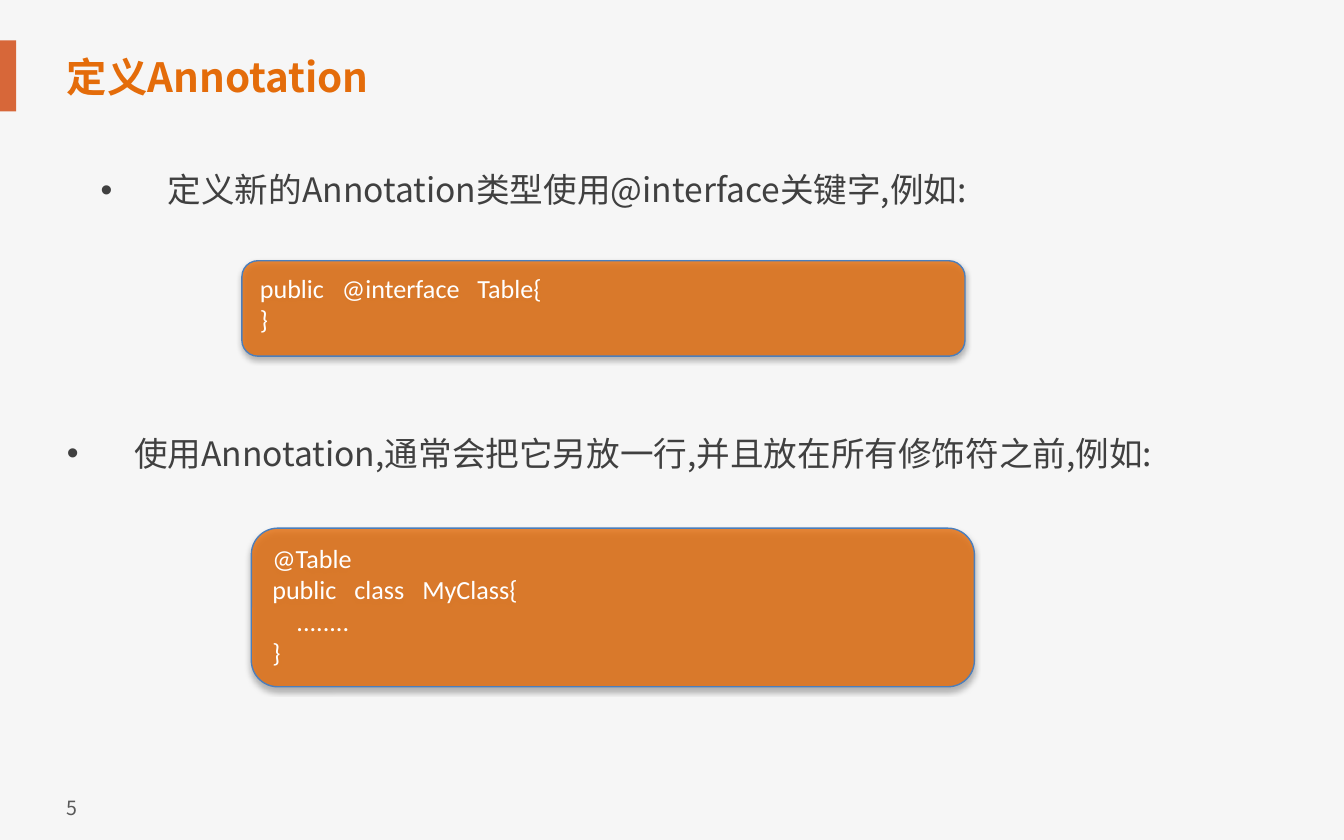
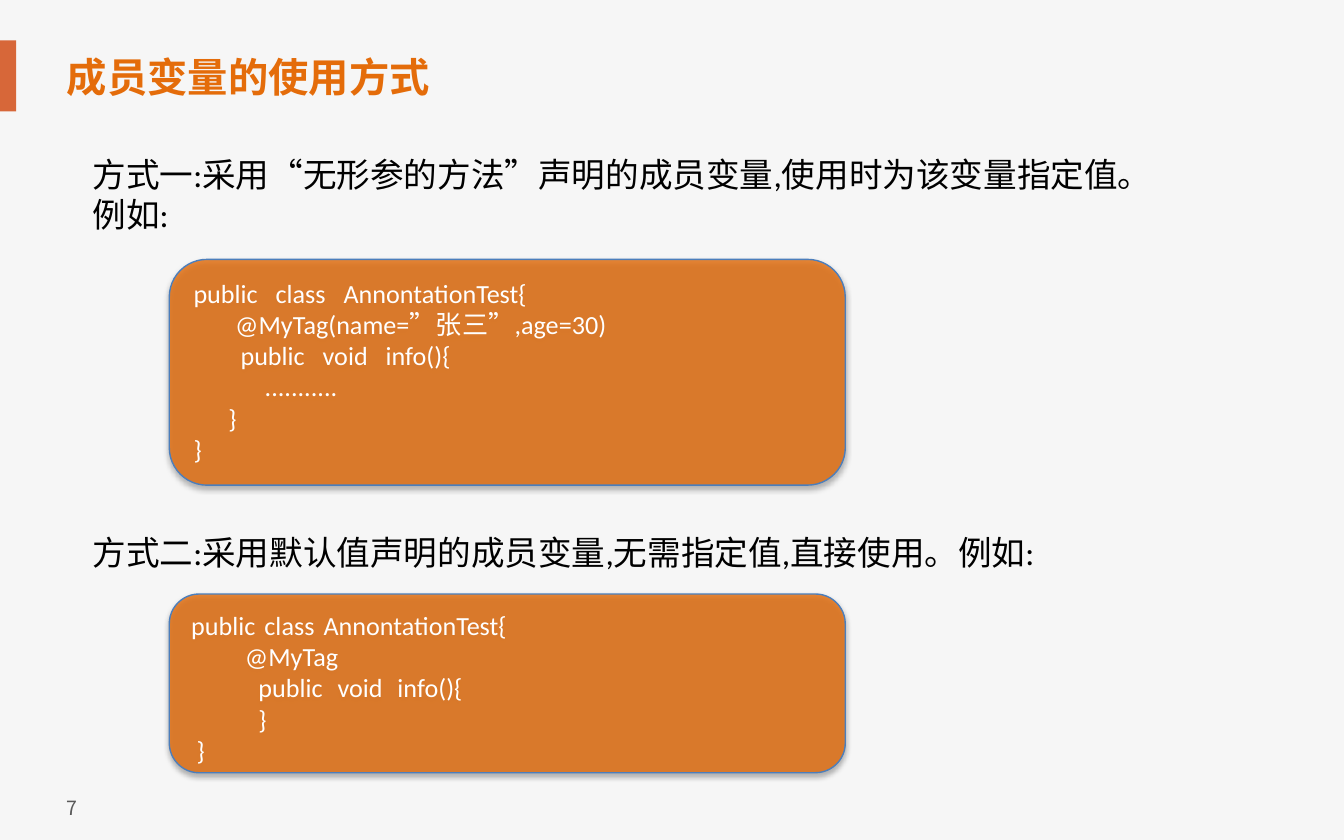
import dataclasses
import lxml.etree
import pptx
import pptx.dml.color
import pptx.enum.shapes
import pptx.enum.text
import pptx.oxml
import pptx.oxml.ns
import pptx.util

Inches = pptx.util.Inches
Pt = pptx.util.Pt
RGBColor = pptx.dml.color.RGBColor
qn = pptx.oxml.ns.qn


@dataclasses.dataclass(frozen=True)
class Theme:
    background: str = "F6F6F6"
    band: str = "D76739"
    accent: str = "E46C0A"
    border: str = "4B7EBC"
    body: str = "404040"
    caption: str = "000000"
    code: str = "FFFFFF"
    number: str = "595959"
    cjk_font: str = "Noto Sans CJK SC"
    latin_font: str = "Calibri"
    title_size: float = 21.6
    body_size: float = 18
    code_size: float = 14
    number_size: float = 10.5
    code_leading: float = 16.75
    caption_leading: float = 21.5
    code_space: float = 3.16


theme = Theme()


def format_run(run, size, color, font, bold=False):
    run.font.size = Pt(size)
    run.font.color.rgb = RGBColor.from_string(color)
    run.font.name = font
    run.font.bold = bold
    east_asian = lxml.etree.SubElement(run.font._element, qn("a:ea"))
    east_asian.set("typeface", theme.cjk_font)


def add_text(slide, box, text, size, color, font, bold=False):
    shape = slide.shapes.add_textbox(*map(Inches, box))
    text_frame = shape.text_frame
    text_frame.word_wrap = True
    text_frame.text = text
    format_run(text_frame.paragraphs[0].runs[0], size, color, font, bold)
    return text_frame


slides = [
    {
        "title": "定义Annotation",
        "number": "5",
        "bullets": [
            ((0.65, 1.21, 9.22, 0.99), "定义新的Annotation类型使用@interface关键字,例如:".replace(",", ",").replace(":", ":")),
            ((0.4, 3.17, 9.22, 0.99), "使用Annotation,通常会把它另放一行,并且放在所有修饰符之前,例如:"),
        ],
        "captions": [],
        "code": [
            ((1.8, 1.94, 5.38, 0.71), [
                (0, 3, "public @interface Table{"),
                (0, 1, "}"),
            ]),
            ((1.87, 3.93, 5.38, 1.18), [
                (0, 1, "@Table"),
                (0, 3, "public class MyClass{"),
                (0.18, 1, "........"),
                (0, 1, "}"),
            ]),
        ],
    },
    {
        "title": "成员变量的使用方式",
        "number": "7",
        "bullets": [],
        "captions": [
            ((0.59, 1.1, 8.05, 0.71), "方式一:采用“无形参的方法”声明的成员变量,使用时为该变量指定值。例如:"),
            ((0.59, 3.91, 8.19, 0.4), "方式二:采用默认值声明的成员变量,无需指定值,直接使用。例如:"),
        ],
        "code": [
            ((1.26, 1.93, 5.03, 1.68), [
                (0, 3, "public class AnnontationTest{"),
                (0.31, 1, "@MyTag(name=”张三”,age=30)"),
                (0.35, 3, "public void info(){"),
                (0.53, 1, "..........."),
                (0.26, 1, "}"),
                (0, 1, "}"),
            ]),
            ((1.26, 4.42, 5.03, 1.33), [
                (0, 1.5, "public class AnnontationTest{"),
                (0.4, 1, "@MyTag"),
                (0.5, 2.5, "public void info(){"),
                (0.5, 1, "}"),
                (0.04, 1, "}"),
            ]),
        ],
    },
]

presentation = pptx.Presentation()
presentation.slide_width = Inches(10)
presentation.slide_height = Inches(6.25)

for content in slides:
    slide = presentation.slides.add_slide(presentation.slide_layouts[6])
    slide.background.fill.solid()
    slide.background.fill.fore_color.rgb = RGBColor.from_string(theme.background)

    band = slide.shapes.add_shape(
        pptx.enum.shapes.MSO_SHAPE.RECTANGLE, Inches(0), Inches(0.3), Inches(0.12), Inches(0.53)
    )
    band.shadow.inherit = False
    band.fill.solid()
    band.fill.fore_color.rgb = RGBColor.from_string(theme.band)
    band.line.fill.background()

    number = add_text(slide, (0.4, 5.87, 0.4, 0.28), content["number"],
                      theme.number_size, theme.number, theme.cjk_font)
    number.word_wrap = False
    title = add_text(slide, (0.4, 0.33, 7.02, 0.48), content["title"],
                     theme.title_size, theme.accent, theme.cjk_font, True)
    title.vertical_anchor = pptx.enum.text.MSO_ANCHOR.MIDDLE

    for box, text in content["bullets"]:
        paragraph = add_text(slide, box, text, theme.body_size, theme.body, theme.cjk_font).paragraphs[0]
        paragraph.space_before = Pt(6)
        paragraph.space_after = Pt(6)
        properties = paragraph._p.get_or_add_pPr()
        properties.set("marL", str(Inches(0.5)))
        properties.set("indent", str(Inches(-0.5)))
        bullet_font = lxml.etree.SubElement(properties, qn("a:buFont"))
        bullet_font.set("typeface", "Arial")
        bullet = lxml.etree.SubElement(properties, qn("a:buChar"))
        bullet.set("char", "•")

    for box, text in content["captions"]:
        caption = add_text(slide, box, text, theme.body_size, theme.caption, theme.latin_font)
        caption.paragraphs[0].line_spacing = Pt(theme.caption_leading)

    for box, lines in content["code"]:
        panel = slide.shapes.add_shape(
            pptx.enum.shapes.MSO_SHAPE.ROUNDED_RECTANGLE, *map(Inches, box)
        )
        panel.shadow.inherit = False
        panel.fill.solid()
        panel.fill.fore_color.rgb = RGBColor.from_string(theme.accent)
        fill_color = panel._element.spPr.find(qn("a:solidFill"))[0]
        lxml.etree.SubElement(fill_color, qn("a:alpha")).set("val", "80000")
        panel.line.color.rgb = RGBColor.from_string(theme.border)
        panel.line.width = Pt(0.75)
        effects = panel._element.spPr.find(qn("a:effectLst"))
        shadow = lxml.etree.SubElement(effects, qn("a:outerShdw"))
        shadow.set("blurRad", str(Pt(3.1)))
        shadow.set("dist", str(Pt(1.8)))
        shadow.set("dir", "5400000")
        shadow.set("rotWithShape", "0")
        shadow_color = lxml.etree.SubElement(shadow, qn("a:srgbClr"))
        shadow_color.set("val", "000000")
        lxml.etree.SubElement(shadow_color, qn("a:alpha")).set("val", "35000")

        text_frame = panel.text_frame
        text_frame.word_wrap = True
        text_frame.vertical_anchor = pptx.enum.text.MSO_ANCHOR.TOP
        text_frame.text = "\n".join(text for indent, gap, text in lines)
        for paragraph, (indent, gap, text) in zip(text_frame.paragraphs, lines):
            paragraph.alignment = pptx.enum.text.PP_ALIGN.LEFT
            paragraph.line_spacing = Pt(theme.code_leading)
            paragraph._p.get_or_add_pPr().set("marL", str(Inches(indent)))
            words = text.split(" ")
            paragraph.runs[0].text = words[0]
            for word in words[1:]:
                space = paragraph.add_run()
                space.text = " "
                space.font._element.set("spc", str(round((gap - 1) * theme.code_space * 100)))
                paragraph.add_run().text = word
            for run in paragraph.runs:
                format_run(run, theme.code_size, theme.code, theme.latin_font)

presentation.save("out.pptx")
